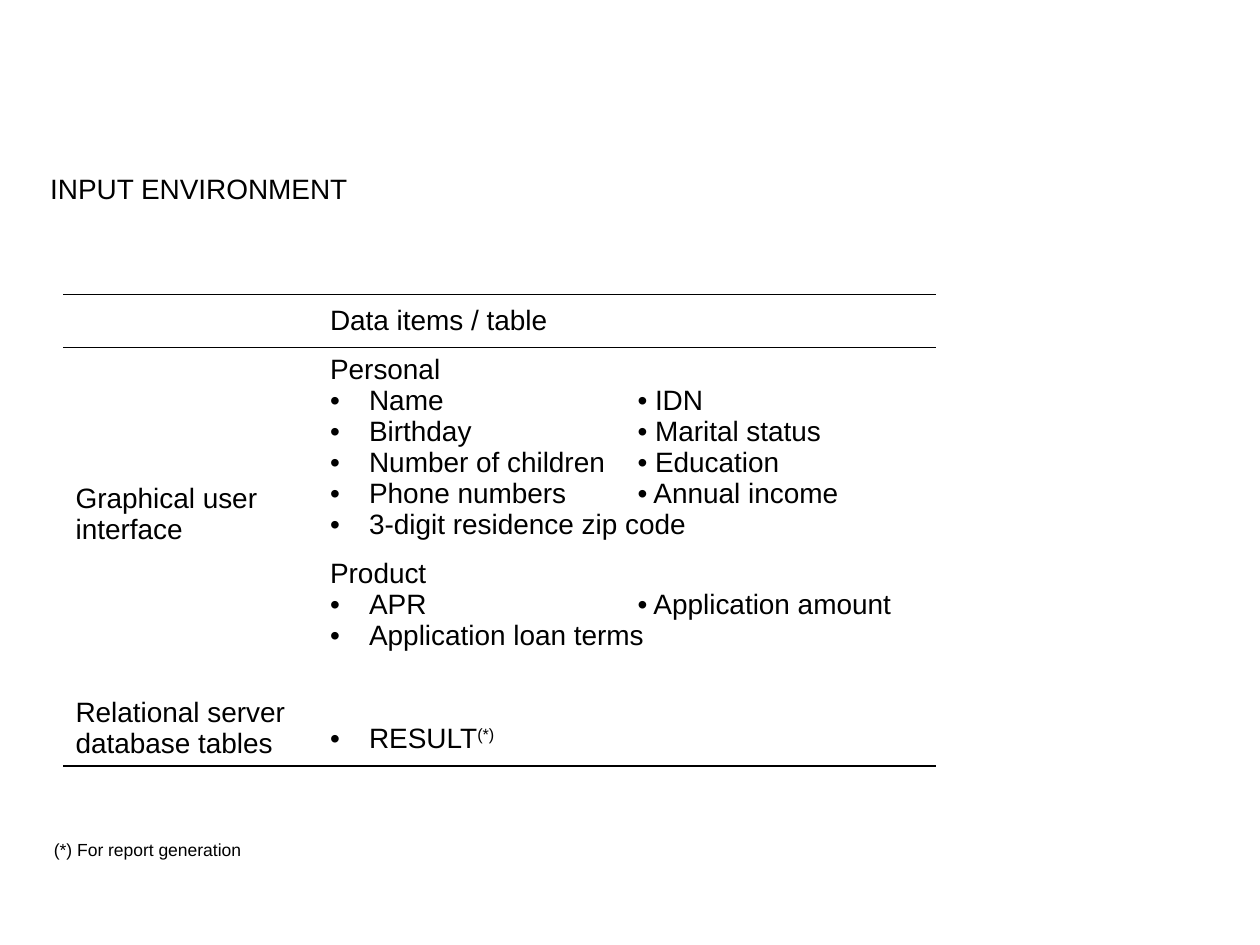
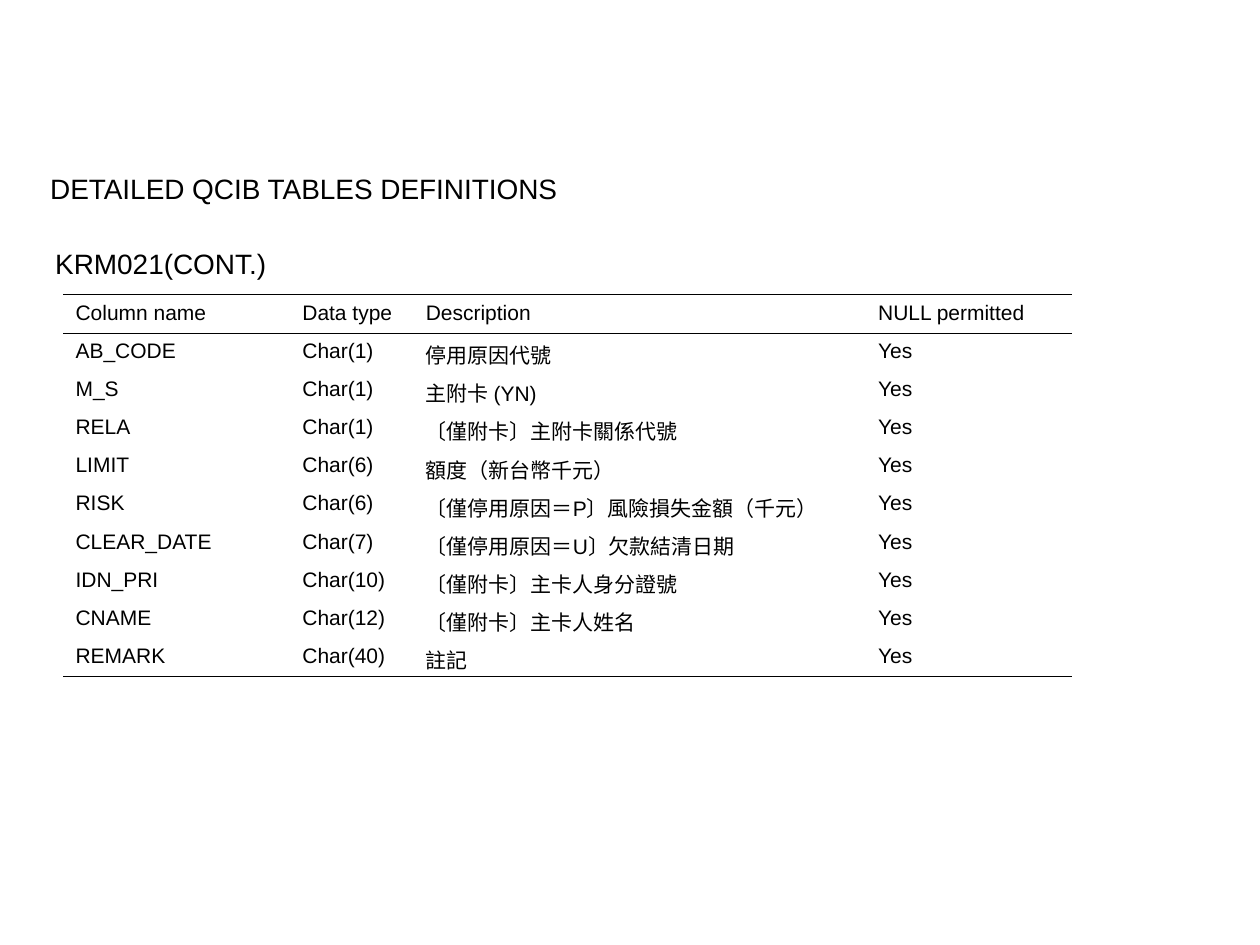
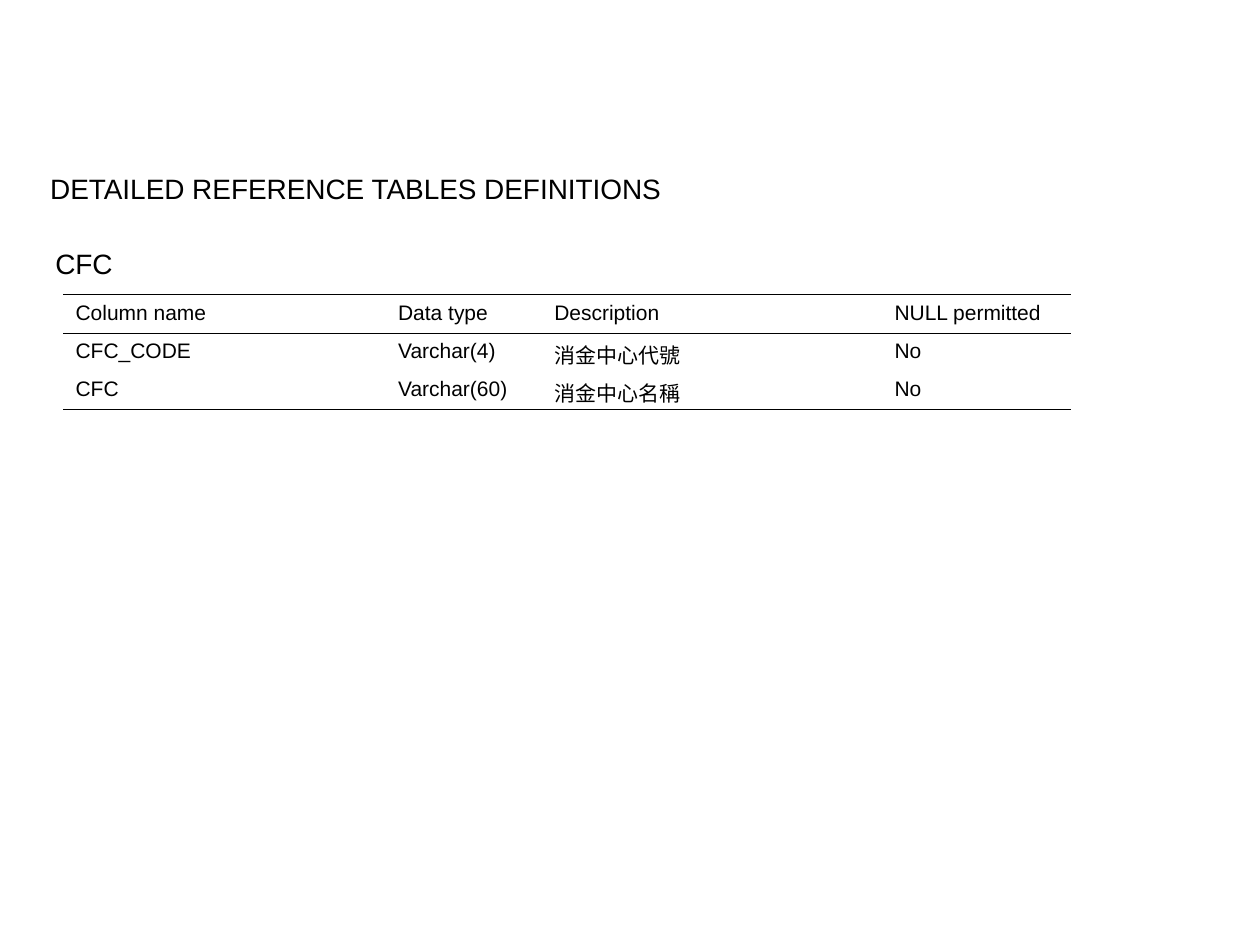
"""Builds three slides that define the input environment and its database tables."""
from dataclasses import dataclass

from lxml.etree import SubElement
from pptx import Presentation
from pptx.dml.color import RGBColor
from pptx.enum.text import MSO_ANCHOR, MSO_AUTO_SIZE
from pptx.oxml import parse_xml
from pptx.oxml.ns import nsdecls, qn
from pptx.util import Emu, Inches, Pt


@dataclass(frozen=True)
class Theme:
    """Colours, type sizes and line widths in points."""
    font: str = "Arial"
    ink: str = "000000"
    heading: int = 16
    body: int = 12
    note: int = 10
    outer_rule: float = 0.75
    inner_rule: float = 0.45
    table_style: str = "{2D5ABB26-0587-4C30-8999-92F81FD0307C}"


THEME = Theme()
GRID_COLUMNS = 100
TITLE_AREA = (3, 13.1, 92.9, 3.7)
TABLE_CORNER = (5, 23.4)
ROW_HEIGHT = 3.03
BULLET_INDENT = 3.1
SECOND_ITEM_TAB = 24.4

PERSONAL_ITEMS = [
    "Name\t• IDN",
    "Birthday\t• Marital status",
    "Number of children\t• Education",
    "Phone numbers\t• Annual income",
    "3-digit residence zip code",
]
PRODUCT_ITEMS = ["APR\t• Application amount", "Application loan terms"]


def bulleted(items):
    return [dict(text=item, bullet=True) for item in items]


INPUT_ROWS = [
    ["", dict(paragraphs=["Data items / table"], anchor=MSO_ANCHOR.MIDDLE)],
    [
        dict(paragraphs=["Graphical user interface"], anchor=MSO_ANCHOR.MIDDLE),
        dict(paragraphs=["Personal", *bulleted(PERSONAL_ITEMS),
                         dict(text="Product", before=10), *bulleted(PRODUCT_ITEMS)]),
    ],
    [
        dict(paragraphs=["Relational server database tables"], anchor=MSO_ANCHOR.BOTTOM),
        dict(paragraphs=[dict(text="RESULT", bullet=True, mark="(*)")],
             anchor=MSO_ANCHOR.BOTTOM, bottom=0.9),
    ],
]

HEADER = ["Column name", "Data type", "Description", "NULL permitted"]
CARD_ROWS = [
    ["AB_CODE", "Char(1)", "停用原因代號", "Yes"],
    ["M_S", "Char(1)", "主附卡 (YN)", "Yes"],
    ["RELA", "Char(1)", "〔僅附卡〕主附卡關係代號", "Yes"],
    ["LIMIT", "Char(6)", "額度（新台幣千元）", "Yes"],
    ["RISK", "Char(6)", "〔僅停用原因＝P〕風險損失金額（千元）", "Yes"],
    ["CLEAR_DATE", "Char(7)", "〔僅停用原因＝U〕欠款結清日期", "Yes"],
    ["IDN_PRI", "Char(10)", "〔僅附卡〕主卡人身分證號", "Yes"],
    ["CNAME", "Char(12)", "〔僅附卡〕主卡人姓名", "Yes"],
    ["REMARK", "Char(40)", "註記", "Yes"],
]
CENTER_ROWS = [
    ["CFC_CODE", "Varchar(4)", "消金中心代號", "No"],
    ["CFC", "Varchar(60)", "消金中心名稱", "No"],
]

PAGES = [
    dict(title="INPUT ENVIRONMENT",
         labels=[("(*) For report generation", (3.3, 66.1, 18, 2.7), THEME.note)],
         rows=INPUT_ROWS, widths=(20.2, 49.1), heights=(4.2, 26.4, 6.8),
         size=THEME.heading),
    dict(title="DETAILED QCIB TABLES DEFINITIONS",
         labels=[("KRM021(CONT.)", (3.4, 19.1, 20, 3.7), THEME.heading)],
         rows=[HEADER, *CARD_ROWS], widths=(18, 9.8, 35.9, 16.4)),
    dict(title="DETAILED REFERENCE TABLES DEFINITIONS",
         labels=[("CFC", (3.4, 19.1, 7.5, 3.7), THEME.heading)],
         rows=[HEADER, *CENTER_ROWS], widths=(25.6, 12.4, 27, 15)),
]

deck = Presentation()
deck.slide_width, deck.slide_height = Inches(10), Inches(7.5)


def grid(units):
    return Emu(round(deck.slide_width * units / GRID_COLUMNS))


def add_span(para, text, size, raised=False):
    span = para.add_run()
    span.text = text
    span.font.name = THEME.font
    span.font.size = Pt(size)
    span.font.color.rgb = RGBColor.from_string(THEME.ink)
    if raised:
        span.font._element.set("baseline", "30000")


def write(para, text, size, bullet=False, before=0, mark=""):
    """Fill a paragraph, with an optional bullet and a raised mark at its end."""
    if bullet:
        layout = para._p.get_or_add_pPr()
        layout.set("marL", str(grid(BULLET_INDENT)))
        layout.set("indent", str(-grid(BULLET_INDENT)))
        SubElement(layout, qn("a:buFont"), typeface=THEME.font)
        SubElement(layout, qn("a:buChar"), char="•")
        tabs = SubElement(layout, qn("a:tabLst"))
        SubElement(tabs, qn("a:tab"), pos=str(grid(SECOND_ITEM_TAB)), algn="l")
    if before:
        para.space_before = Pt(before)
    add_span(para, text, size)
    if mark:
        add_span(para, mark, size, raised=True)


def add_text(page, text, area, size, wrap=False):
    box = page.shapes.add_textbox(*map(grid, area))
    box.text_frame.word_wrap = wrap
    box.text_frame.auto_size = MSO_AUTO_SIZE.SHAPE_TO_FIT_TEXT
    write(box.text_frame.paragraphs[0], text, size)


def set_rule(cell, side, width):
    """Draw one border of a cell, or clear it when the width is zero."""
    paint = (f'<a:solidFill><a:srgbClr val="{THEME.ink}"/></a:solidFill>'
             if width else '<a:noFill/>')
    rule = parse_xml(f'<a:{side} {nsdecls("a")} w="{Pt(width)}">{paint}</a:{side}>')
    cell._tc.get_or_add_tcPr().insert(0, rule)


def fill_cell(cell, content, size):
    if isinstance(content, str):
        content = dict(paragraphs=[content] if content else [])
    cell.fill.background()
    cell.vertical_anchor = content.get("anchor", MSO_ANCHOR.TOP)
    cell.margin_left = cell.margin_right = grid(1)
    cell.margin_top = grid(0.5)
    cell.margin_bottom = grid(content.get("bottom", 0.5))
    for index, item in enumerate(content["paragraphs"]):
        frame = cell.text_frame
        para = frame.add_paragraph() if index else frame.paragraphs[0]
        options = dict(text=item) if isinstance(item, str) else item
        write(para, size=size, **options)


def add_ruled_table(page, rows, widths, heights=None, size=THEME.body):
    """Add a table with rules above and below the header and under the last row."""
    heights = heights or [ROW_HEIGHT] * len(rows)
    area = (*TABLE_CORNER, sum(widths), sum(heights))
    table = page.shapes.add_table(len(rows), len(widths), *map(grid, area)).table
    table.first_row = table.horz_banding = False
    table._tbl.tblPr.find(qn("a:tableStyleId")).text = THEME.table_style
    for column, width in zip(table.columns, widths):
        column.width = grid(width)
    inside = [0] * (len(rows) - 2)
    rules = [THEME.outer_rule, THEME.inner_rule, *inside, THEME.outer_rule]
    for index, (row, height) in enumerate(zip(rows, heights)):
        table.rows[index].height = grid(height)
        for column, content in enumerate(row):
            cell = table.cell(index, column)
            fill_cell(cell, content, size)
            set_rule(cell, "lnB", rules[index + 1])
            set_rule(cell, "lnT", rules[index])


def build_page(title, labels, **table):
    page = deck.slides.add_slide(deck.slide_layouts[6])
    add_text(page, title, TITLE_AREA, THEME.heading, wrap=True)
    for text, area, size in labels:
        add_text(page, text, area, size)
    add_ruled_table(page, **table)


def main():
    for content in PAGES:
        build_page(**content)
    deck.save("out.pptx")


if __name__ == "__main__":
    main()
